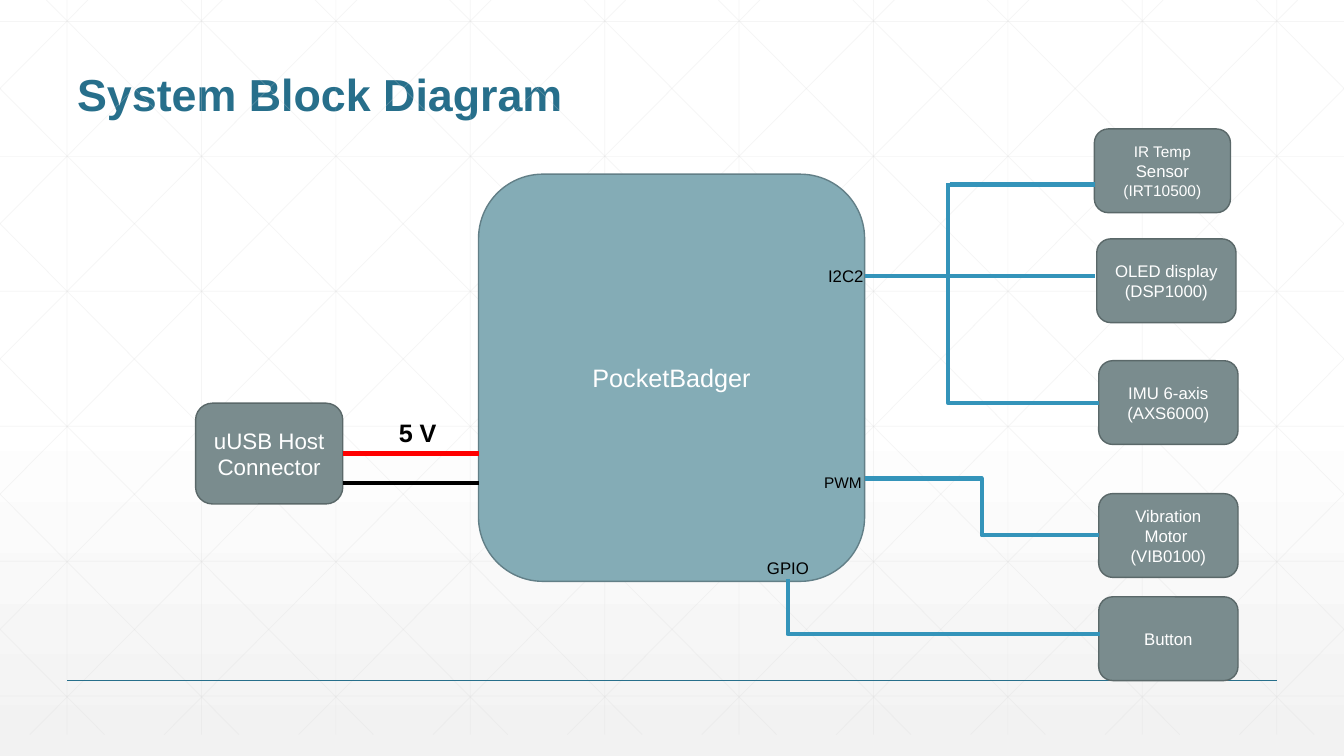
from lxml.etree import SubElement
from pptx import Presentation
from pptx.dml.color import RGBColor
from pptx.enum.shapes import MSO_CONNECTOR, MSO_SHAPE
from pptx.enum.text import MSO_ANCHOR, MSO_AUTO_SIZE, PP_ALIGN
from pptx.oxml.ns import qn
from pptx.util import Cm, Pt

WIDTH, HEIGHT = 33.87, 19.05
GRID_BOTTOM, GRID_STEP = 18.51, 3.387
TEAL, BLUE, GRAY = "276F8B", "3494BA", "7A8C8E"


def color(code):
    """Turn a hex string into a colour."""
    return RGBColor.from_string(code)


def write(frame, *paragraphs, size=12, ink="FFFFFF", bold=False,
          align=PP_ALIGN.LEFT, anchor=MSO_ANCHOR.TOP, spacing=None):
    """Fill a frame; a paragraph is a string or a list of (text, size) spans."""
    frame.word_wrap = True
    frame.vertical_anchor = anchor
    for index, content in enumerate(paragraphs):
        para = frame.add_paragraph() if index else frame.paragraphs[0]
        para.alignment = align
        para.line_spacing = spacing
        spans = [(content, size)] if isinstance(content, str) else content
        for text, points in spans:
            span = para.add_run()
            span.text = text
            span.font.name = "Arial"
            span.font.size = Pt(points)
            span.font.bold = bold
            span.font.color.rgb = color(ink)


def add_block(page, place, *paragraphs, size=12, fill=GRAY, edge="5A6869"):
    """Add a rounded block with centred text."""
    box = page.shapes.add_shape(MSO_SHAPE.ROUNDED_RECTANGLE, *map(Cm, place))
    box.shadow.inherit = False
    box.fill.solid()
    box.fill.fore_color.rgb = color(fill)
    box.line.color.rgb = color(edge)
    box.line.width = Pt(1)
    write(box.text_frame, *paragraphs, size=size,
          align=PP_ALIGN.CENTER, anchor=MSO_ANCHOR.MIDDLE)


def add_label(page, place, text, size=12, bold=False):
    """Add a black pin or voltage label."""
    box = page.shapes.add_textbox(*map(Cm, place))
    write(box.text_frame, text, size=size, ink="000000", bold=bold)
    box.text_frame.auto_size = MSO_AUTO_SIZE.SHAPE_TO_FIT_TEXT


def add_wire(page, start, end, ink=BLUE, width=3, bend=None, opacity=None):
    """Add a straight wire, or an elbow that turns at the bend fraction."""
    kind = MSO_CONNECTOR.STRAIGHT if bend is None else MSO_CONNECTOR.ELBOW
    wire = page.shapes.add_connector(kind, *map(Cm, (*start, *end)))
    wire.line.color.rgb = color(ink)
    wire.line.width = Pt(width)
    properties = wire._element.spPr
    SubElement(properties, qn("a:effectLst"))
    if bend is not None:
        guides = properties.find(qn("a:prstGeom")).get_or_add_avLst()
        SubElement(guides, qn("a:gd"), name="adj1", fmla=f"val {int(bend * 100000)}")
    if opacity is not None:
        tint = next(properties.iter(qn("a:srgbClr")))
        SubElement(tint, qn("a:alpha"), val=str(opacity * 1000))


def add_grid_line(page, start, end):
    """Add one faint line of the backdrop."""
    add_wire(page, start, end, ink="D9D9D9", width=0.5, opacity=25)


def add_backdrop(page):
    """Paint the gradient and the square and diagonal grid."""
    fill = page.background.fill
    fill.gradient()
    fill.gradient_angle = 270
    for stop, position, code in zip(fill.gradient_stops, (0.53, 1), ("FFFFFF", "F2F2F2")):
        stop.position = position
        stop.color.rgb = color(code)
    for column in range(10):
        x = 1.69 + column * GRID_STEP
        add_grid_line(page, (x, 0), (x, GRID_BOTTOM))
    for row in range(6):
        y = 0.54 + row * 3.4
        add_grid_line(page, (0, y), (WIDTH, y))
    slope = 1.006
    for step in range(-5, 10):
        top = 1.17 + step * GRID_STEP
        left = max(top, 0)
        right = min(top + GRID_BOTTOM / slope, WIDTH)
        upper, lower = ((x - top) * slope for x in (left, right))
        add_grid_line(page, (left, upper), (right, lower))
        add_grid_line(page, (WIDTH - left, upper), (WIDTH - right, lower))
    add_wire(page, (1.69, 17.15), (32.18, 17.15), ink=TEAL, width=1)


def add_title(page, text):
    """Place and format the slide title."""
    title = page.shapes.title
    title.left, title.top, title.width, title.height = map(Cm, (1.69, 0.64, 30.48, 2.54))
    write(title.text_frame, text, size=32, ink=TEAL, bold=True,
          anchor=MSO_ANCHOR.BOTTOM, spacing=0.9)


def add_peripherals(page):
    """Add the column of sensor, display, motor and button blocks."""
    add_block(page, (27.58, 3.25, 3.43, 2.11),
              [("IR Temp ", 11), ("Sensor", 12)], [("(IRT10500)", 11)])
    peripherals = [
        (27.64, 6.02, ["OLED display", "(DSP1000)"]),
        (27.69, 9.09, ["IMU 6-axis", "(AXS6000)"]),
        (27.69, 12.44, ["Vibration Motor ", "(VIB0100)"]),
        (27.69, 15.04, ["Button"]),
    ]
    for left, top, lines in peripherals:
        add_block(page, (left, top, 3.51, 2.11), *lines)


def add_wiring(page):
    """Connect the board to its bus, pins and supply."""
    for start, end in [
        ((21.79, 6.96), (23.93, 6.96)),
        ((23.9, 7.01), (23.9, 4.6)),
        ((23.93, 4.65), (27.6, 4.65)),
        ((23.88, 6.96), (27.6, 6.96)),
    ]:
        add_wire(page, start, end)
    add_wire(page, (23.9, 6.17), (27.69, 10.16), bend=0)
    add_wire(page, (21.79, 12.06), (27.69, 13.49), bend=0.5)
    add_wire(page, (19.85, 14.6), (27.71, 15.98), bend=0)
    add_wire(page, (12.06, 11.43), (8.64, 11.43), ink="FF0000")
    add_wire(page, (8.64, 12.17), (12.06, 12.17), ink="000000")


def main():
    """Build the system block diagram."""
    deck = Presentation()
    deck.slide_width, deck.slide_height = Cm(WIDTH), Cm(HEIGHT)
    page = deck.slides.add_slide(deck.slide_layouts[5])
    add_backdrop(page)
    add_title(page, "System Block Diagram")
    add_block(page, (12.06, 4.39, 9.73, 10.26), "PocketBadger",
              size=18, fill="84ACB6", edge="627F87")
    add_block(page, (4.93, 10.16, 3.71, 2.54), "uUSB Host Connector", size=16)
    add_peripherals(page)
    add_wiring(page)
    add_label(page, (20.62, 6.58, 1.9, 0.76), "I2C2")
    add_label(page, (20.52, 11.81, 1.52, 0.74), "PWM", size=11)
    add_label(page, (19.08, 13.94, 1.9, 0.76), "GPIO")
    add_label(page, (9.8, 10.39, 3.02, 1.02), "5 V", size=18, bold=True)
    deck.save("out.pptx")


main()
